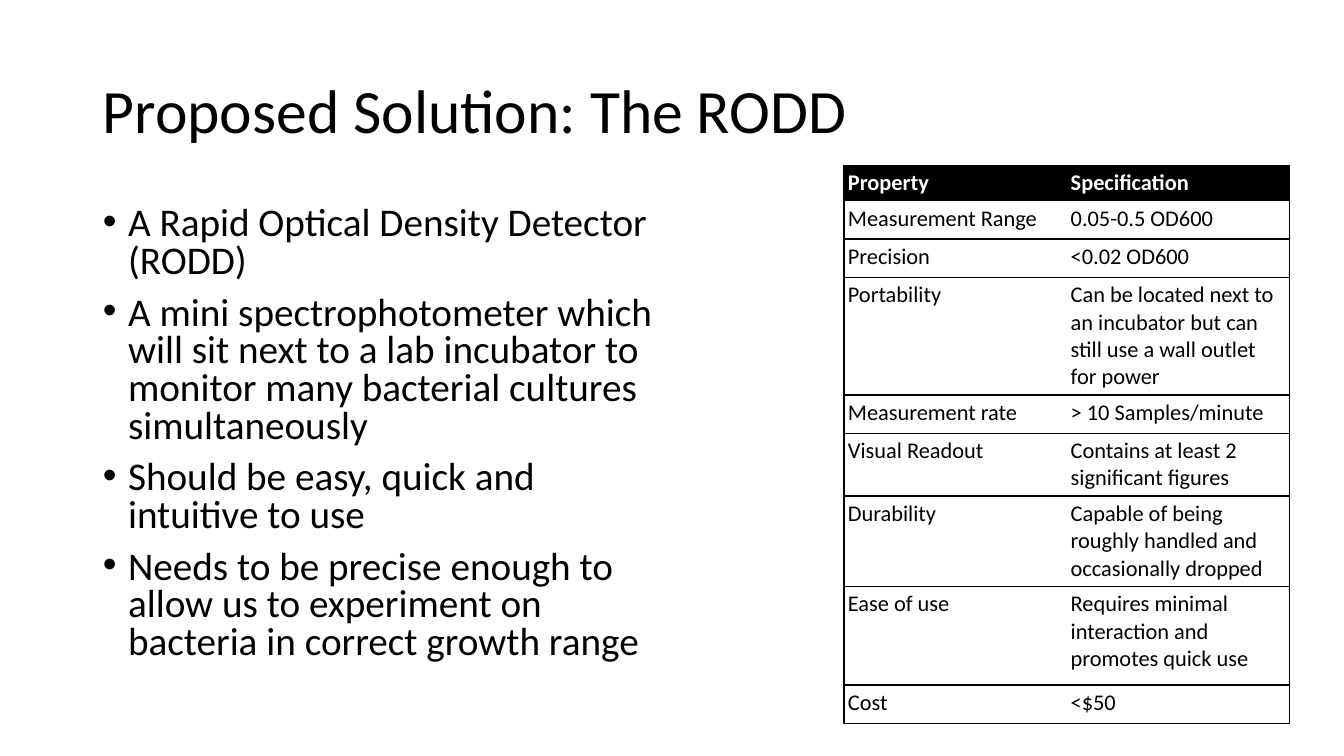
from lxml.etree import SubElement
from pptx import Presentation
from pptx.dml.color import RGBColor
from pptx.enum.text import MSO_ANCHOR, MSO_AUTO_SIZE, PP_ALIGN
from pptx.oxml.ns import qn
from pptx.util import Inches, Pt

COLORS = {"black": "000000", "white": "FFFFFF"}
FONT = "Calibri"

BULLETS = [
    "A Rapid Optical Density Detector (RODD)",
    "A mini spectrophotometer which will sit next to a lab incubator to "
    "monitor many bacterial cultures simultaneously",
    "Should be easy, quick and intuitive to use",
    "Needs to be precise enough to allow us to experiment on bacteria in "
    "correct growth range",
]

# Property, specification, row height in inches
SPECIFICATIONS = [
    ("Property", "Specification", 0.23),
    ("Measurement Range", "0.05-0.5 OD600", 0.38),
    ("Precision", "<0.02 OD600", 0.38),
    ("Portability", "Can be located next to an incubator but can still use "
     "a wall outlet for power", 0.83),
    ("Measurement rate", "> 10 Samples/minute", 0.38),
    ("Visual Readout", "Contains at least 2 significant figures", 0.53),
    ("Durability", "Capable of being roughly handled and occasionally dropped", 0.68),
    ("Ease of use", "Requires minimal interaction and promotes quick use", 0.98),
    ("Cost", "<$50", 0.38),
]


def format_text(paragraph, size, color, bold=False):
    paragraph.alignment = PP_ALIGN.LEFT
    for run in paragraph.runs:
        run.font.name = FONT
        run.font.size = Pt(size)
        run.font.bold = bold
        run.font.color.rgb = RGBColor.from_string(COLORS[color])


def set_borders(cell, drawn_sides):
    """Draw the given sides (L, R, T, B) in black and clear the others."""
    properties = cell._tc.get_or_add_tcPr()
    for side in "LRTB":
        line = SubElement(properties, qn(f"a:ln{side}"), w=str(Pt(1)))
        if side in drawn_sides:
            fill = SubElement(line, qn("a:solidFill"))
            SubElement(fill, qn("a:srgbClr"), val=COLORS["black"])
        else:
            SubElement(line, qn("a:noFill"))


presentation = Presentation()
presentation.slide_width = Inches(13.33)
presentation.slide_height = Inches(7.5)
slide = presentation.slides.add_slide(presentation.slide_layouts[1])

# Title
title = slide.shapes.title
title.left, title.top = Inches(0.92), Inches(0.4)
title.width, title.height = Inches(11.5), Inches(1.45)
title_frame = title.text_frame
title_frame.text = "Proposed Solution: The RODD"
title_frame.vertical_anchor = MSO_ANCHOR.MIDDLE
title_frame.auto_size = MSO_AUTO_SIZE.NONE
title_frame.paragraphs[0].line_spacing = 0.9
format_text(title_frame.paragraphs[0], 44, "black")

# Bullet list
body = slide.placeholders[1]
body.left, body.top = Inches(0.92), Inches(2)
body.width, body.height = Inches(5.67), Inches(4.76)
body_frame = body.text_frame
body_frame.text = "\n".join(BULLETS)
body_frame.auto_size = MSO_AUTO_SIZE.NONE
for paragraph in body_frame.paragraphs:
    paragraph.line_spacing = 0.8
    paragraph.space_before = Pt(10)
    format_text(paragraph, 28, "black")
    properties = paragraph._p.get_or_add_pPr()
    properties.set("marL", str(Inches(0.25)))
    properties.set("indent", str(Inches(-0.25)))
    SubElement(properties, qn("a:buFont"), typeface="Arial")
    SubElement(properties, qn("a:buChar"), char="•")

# Specification table
table = slide.shapes.add_table(
    len(SPECIFICATIONS), 2, Inches(8.37), Inches(1.64), Inches(4.42), Inches(5.45)
).table
for row_index, (name, value, height) in enumerate(SPECIFICATIONS):
    table.rows[row_index].height = Inches(height)
    is_header = row_index == 0
    for column_index, text in enumerate((name, value)):
        cell = table.cell(row_index, column_index)
        cell.text = text
        cell.margin_left = cell.margin_right = Inches(0.04)
        cell.margin_top = cell.margin_bottom = Inches(0.04)
        set_borders(cell, "TB" + "LR"[column_index])
        cell.fill.solid()
        cell.fill.fore_color.rgb = RGBColor.from_string(
            COLORS["black" if is_header else "white"])
        format_text(cell.text_frame.paragraphs[0], 16,
                    "white" if is_header else "black", is_header)

presentation.save("out.pptx")
